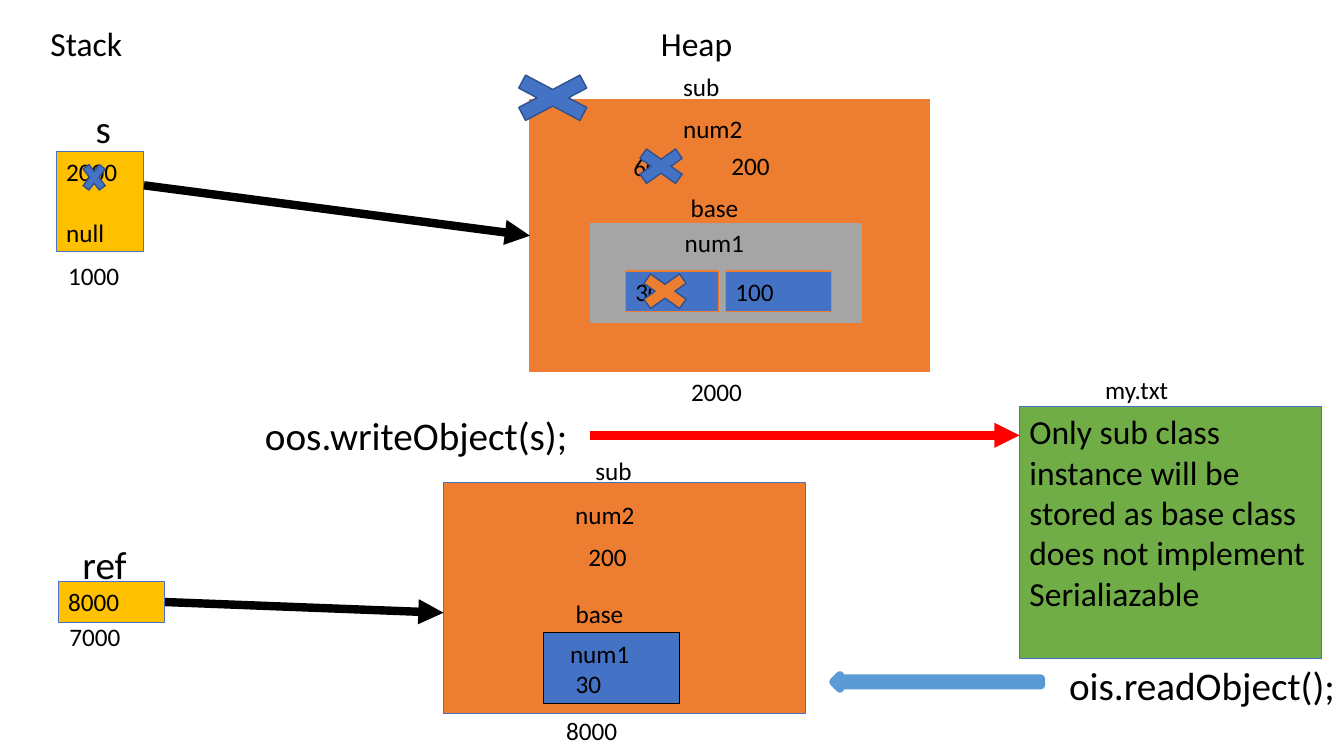
"""Build the slide on serializing a sub class whose base class is not serializable."""
from pptx import Presentation
from pptx import util as u
from pptx.dml.color import RGBColor
from pptx.enum import shapes, text
from pptx.oxml.ns import qn
from lxml import etree


class Theme:
    FONT = "Calibri"
    BLACK = "000000"
    RED = "FF0000"
    BLUE = "4472C4"
    NAVY = "2F528F"
    SKY = "5B9BD5"
    ORANGE = "ED7D31"
    GOLD = "FFC000"
    GREEN = "70AD47"
    GREY = "A5A5A5"
    SMALL, MEDIUM, LARGE = 18, 24, 28
    HAIRLINE, EDGE, THICK = 0.75, 1, 6


def write(box, lines, size=Theme.SMALL, indents=(0,)):
    """Fill a box with top-left paragraphs, each with its own indent in cm."""
    frame = box.text_frame
    frame.word_wrap = True
    frame.vertical_anchor = text.MSO_ANCHOR.TOP
    for number, line in enumerate(lines):
        paragraph = frame.paragraphs[0] if number == 0 else frame.add_paragraph()
        paragraph.text = line
        paragraph.alignment = text.PP_ALIGN.LEFT
        properties = paragraph._p.get_or_add_pPr()
        properties.set("marL", str(u.Cm(indents[number % len(indents)])))
        properties.set("indent", "0")
        paragraph.font.name = Theme.FONT
        paragraph.font.size = u.Pt(size)
        paragraph.font.color.rgb = RGBColor.from_string(Theme.BLACK)


def draw(preset, place, fill, line, width=Theme.HAIRLINE):
    """Add a flat preset shape; place is left, top, width, height in cm."""
    figure = slide.shapes.add_shape(preset, *map(u.Cm, place))
    figure.shadow.inherit = False
    if fill:
        figure.fill.solid()
        figure.fill.fore_color.rgb = RGBColor.from_string(fill)
    else:
        figure.fill.background()
    figure.line.color.rgb = RGBColor.from_string(line)
    figure.line.width = u.Pt(width)
    return figure


deck = Presentation()
deck.slide_width, deck.slide_height = u.Cm(33.88), u.Cm(19.05)
slide = deck.slides.add_slide(deck.slide_layouts[6])
RECT = shapes.MSO_SHAPE.RECTANGLE

stack_s = draw(RECT, (1.42, 3.81, 2.21, 2.54), Theme.GOLD, Theme.BLUE)
write(stack_s, ["2000", "null"])
stack_s.text_frame.paragraphs[1].space_before = u.Pt(22)
stack_ref = draw(RECT, (1.47, 14.66, 2.69, 1.02), Theme.GOLD, Theme.BLUE)
write(stack_ref, ["8000"])
saved_file = draw(RECT, (25.7, 10.24, 7.62, 6.35), Theme.GREEN, Theme.BLUE)
write(saved_file, ["Only sub class instance will be stored as base class "
                   "does not implement Serialiazable"], Theme.MEDIUM)

written_sub = draw(RECT, (13.36, 2.51, 10.08, 6.86), Theme.ORANGE, Theme.ORANGE)
written_base = draw(RECT, (14.86, 5.61, 6.88, 2.54), Theme.GREY, Theme.ORANGE)
write(written_base, ["num1"], indents=(2.15,))
draw(RECT, (11.18, 12.17, 9.12, 5.82), Theme.ORANGE, Theme.BLUE)
read_base = draw(RECT, (13.69, 15.95, 3.45, 1.78), Theme.BLUE, Theme.BLACK)
write(read_base, ["num1", "30"], indents=(0.43, 0.57))

for value, left, top, width, fill in [
    ("30", 15.77, 6.83, 2.34, Theme.BLUE),
    ("100", 18.29, 6.83, 2.67, Theme.BLUE),
    ("60", 15.72, 3.68, 1.88, None),
    ("200", 18.19, 3.66, 1.88, None),
    ("200", 14.58, 13.51, 1.7, None),
]:
    write(draw(RECT, (left, top, width, 1.02), fill, Theme.ORANGE), [value])

label_heights = {Theme.SMALL: 1.02, Theme.MEDIUM: 1.27, Theme.LARGE: 1.45}
for label, left, top, width, size, indent in [
    ("Stack", 1.02, 0.46, 3.15, Theme.MEDIUM, 0),
    ("Heap", 16.41, 0.46, 4.04, Theme.MEDIUM, 0),
    ("s", 2.16, 2.51, 1.47, Theme.LARGE, 0),
    ("1000", 1.47, 6.43, 2.21, Theme.SMALL, 0),
    ("ref", 1.83, 13.49, 2.95, Theme.LARGE, 0),
    ("7000", 1.5, 15.52, 2.69, Theme.SMALL, 0),
    ("sub", 16.97, 1.68, 1.83, Theme.SMALL, 0),
    ("num2", 16.97, 2.74, 2.51, Theme.SMALL, 0),
    ("base", 16.59, 4.72, 3.38, Theme.SMALL, 0.57),
    ("2000", 17.17, 9.37, 3, Theme.SMALL, 0),
    ("sub", 14.76, 11.35, 1.65, Theme.SMALL, 0),
    ("num2", 14.25, 12.45, 2.51, Theme.SMALL, 0),
    ("base", 13.69, 14.94, 3.07, Theme.SMALL, 0.57),
    ("8000", 14.02, 17.91, 4.06, Theme.SMALL, 0),
    ("my.txt", 27.61, 9.32, 3.28, Theme.SMALL, 0),
    ("oos.writeObject(s);", 6.43, 10.24, 10.74, Theme.LARGE, 0),
    ("ois.readObject();", 26.7, 16.54, 7.57, Theme.LARGE, 0),
]:
    place = (left, top, width, label_heights[size])
    write(slide.shapes.add_textbox(*map(u.Cm, place)), [label], size, (indent,))

draw(shapes.MSO_SHAPE.LEFT_ARROW, (21.01, 17.02, 5.23, 0.33),
     Theme.BLUE, Theme.SKY, Theme.THICK)

for place, fill in [
    ((1.98, 3.96, 0.79, 1.02), Theme.BLUE),
    ((12.45, 1.68, 2.97, 1.57), Theme.BLUE),
    ((15.8, 3.58, 1.73, 1.22), Theme.BLUE),
    ((15.9, 6.73, 1.73, 1.22), Theme.ORANGE),
]:
    draw(shapes.MSO_SHAPE.MATH_MULTIPLY, place, fill, Theme.NAVY, Theme.EDGE)

for ends, color, source, target in [
    ((3.63, 4.67, 13.36, 5.94), Theme.BLACK, None, written_sub),
    ((4.16, 15.17, 11.18, 15.44), Theme.BLACK, stack_ref, None),
    ((14.88, 10.97, 25.7, 10.97), Theme.RED, None, None),
]:
    arrow = slide.shapes.add_connector(shapes.MSO_CONNECTOR.STRAIGHT, *map(u.Cm, ends))
    if source:
        arrow.begin_connect(source, 3)
    if target:
        arrow.end_connect(target, 1)
    arrow.line.color.rgb = RGBColor.from_string(color)
    arrow.line.width = u.Pt(Theme.THICK)
    etree.SubElement(arrow.line._get_or_add_ln(), qn("a:tailEnd"), type="triangle")
    etree.SubElement(arrow._element.spPr, qn("a:effectLst"))

deck.save("out.pptx")
